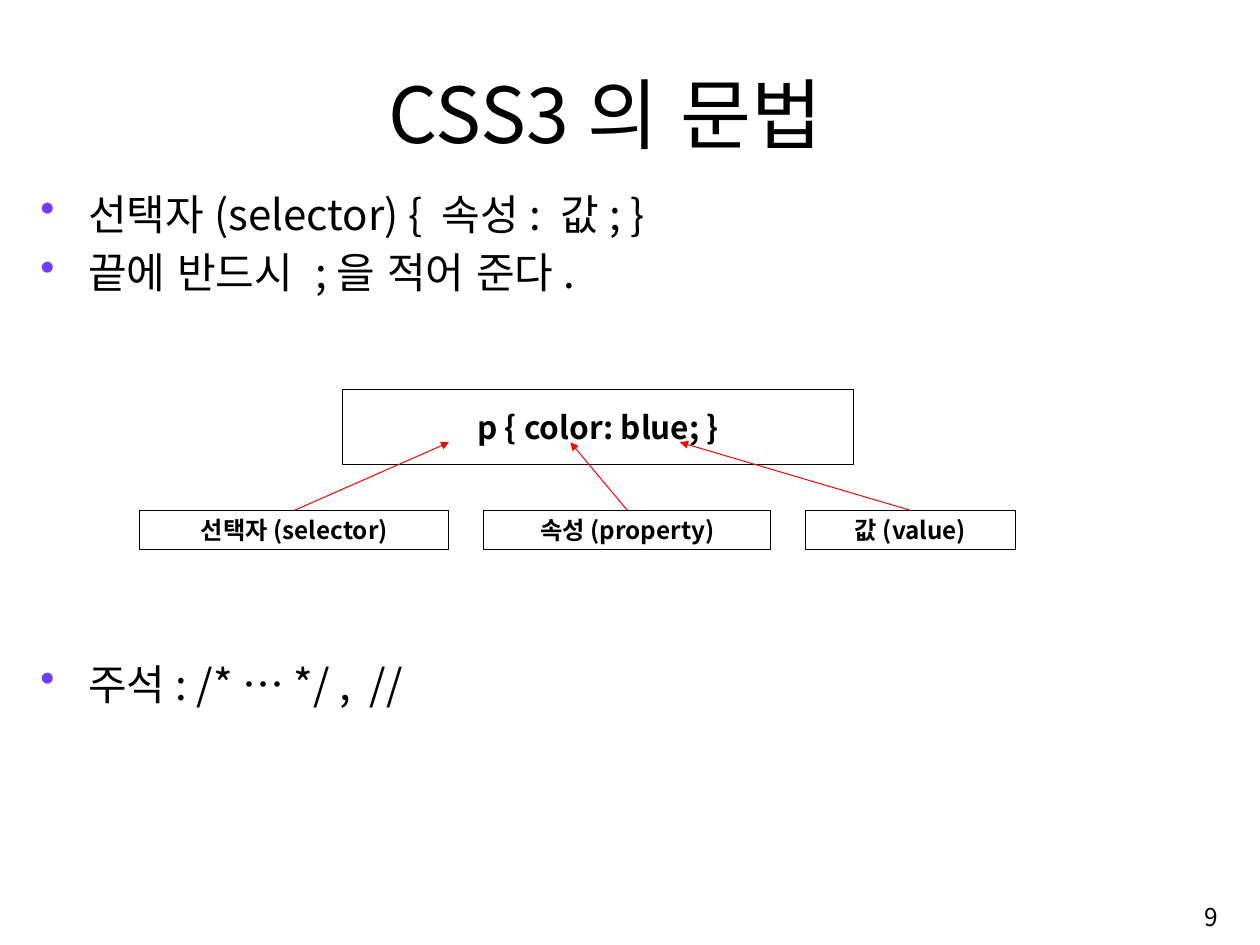
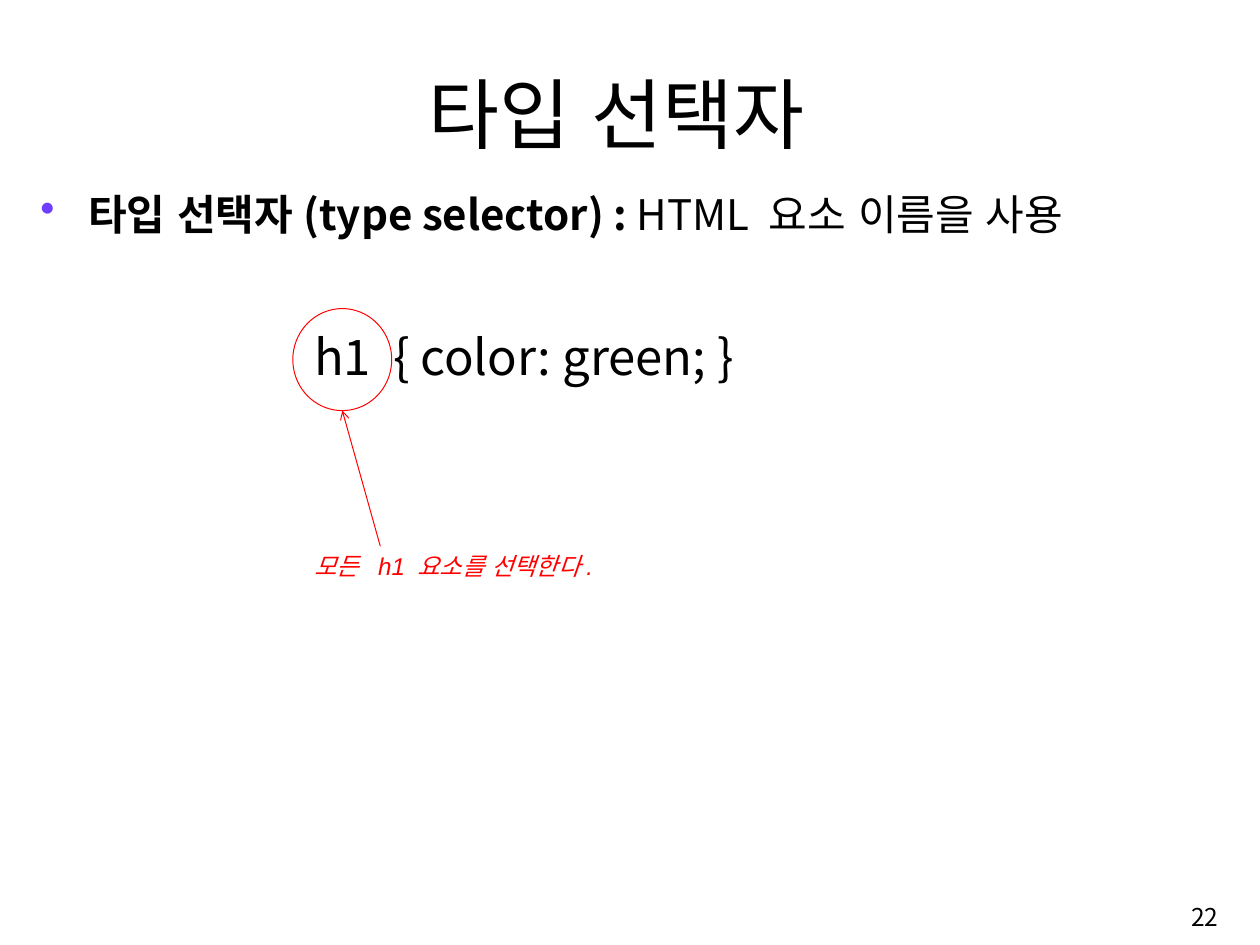
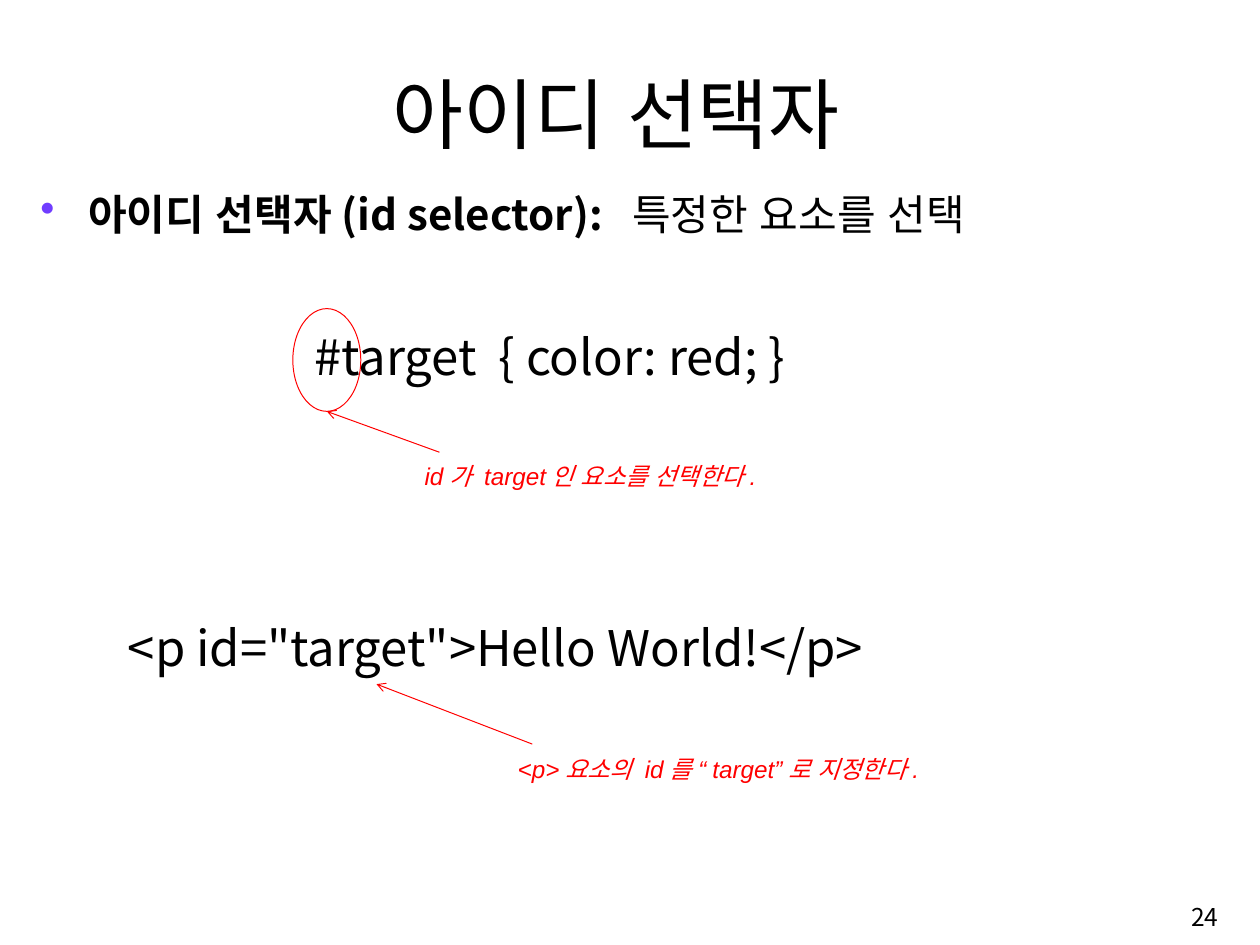
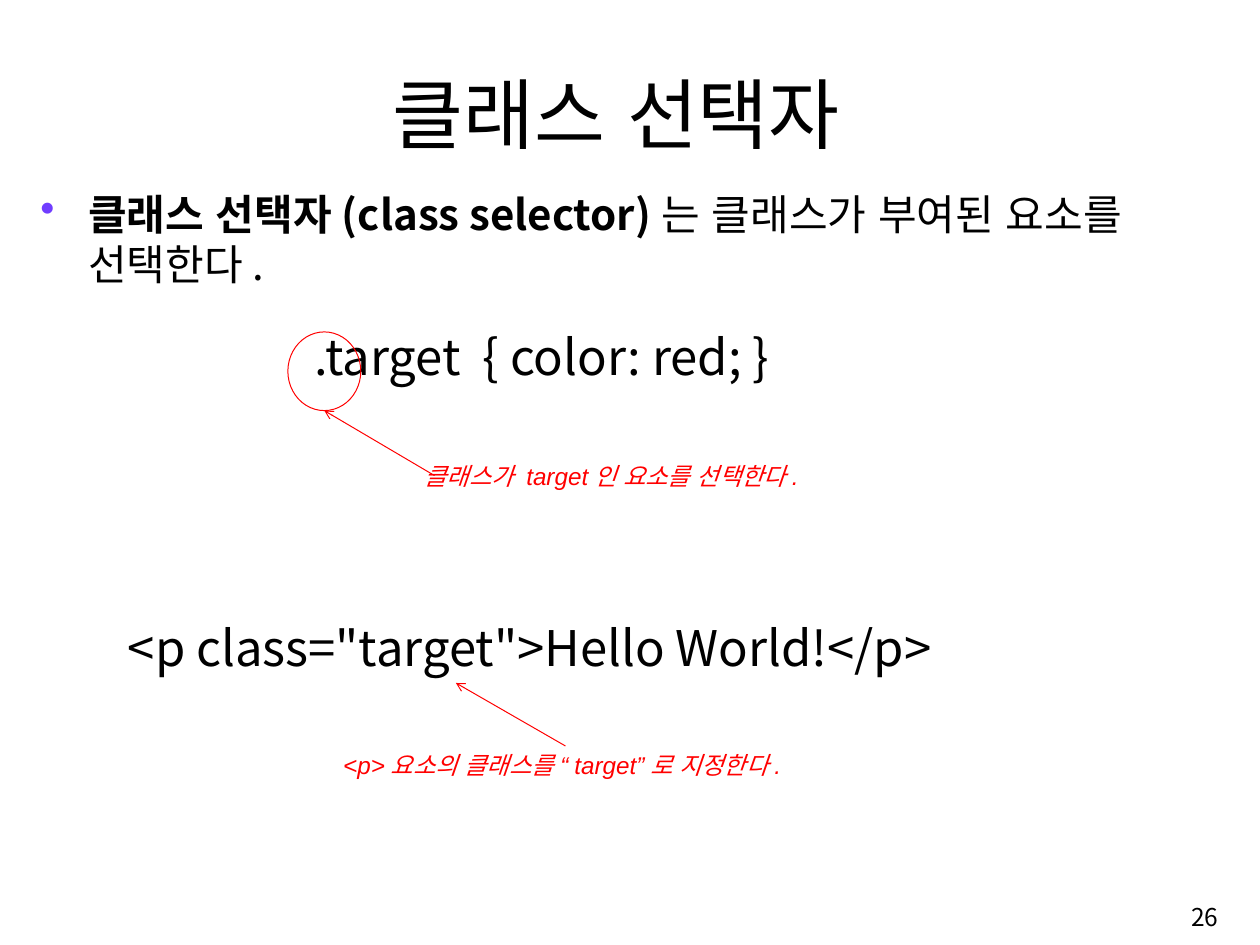
"""Build four slides on CSS3 syntax and the type, id and class selectors."""
from pptx import Presentation, util as u
from pptx.dml.color import RGBColor
from pptx.enum import lang, shapes, text
from pptx.oxml.ns import qn
from lxml import etree

SANS, ARIAL = "Noto Sans CJK KR", "Arial"
BLACK, RED, VIOLET = "000000", "FF0000", "703DFF"
CENTER, RIGHT = text.PP_ALIGN.CENTER, text.PP_ALIGN.RIGHT
TOP, MIDDLE, BOTTOM = (text.MSO_ANCHOR.TOP, text.MSO_ANCHOR.MIDDLE,
                       text.MSO_ANCHOR.BOTTOM)

TITLE_AT = (2.67, 1.55, 26.95, 2.74)
BODY_AT = (0.81, 4.8, 31.29, 17.93)
PAGE_AT = (25.35, 23.24, 6.81, 1.52)
CODE_HEIGHT, NOTE_HEIGHT = 1.8, 1.02
INDENT = 1.25
BULLET_GAP, WIDE_GAP = 6.2, 268

RULE = ("p { color: blue; }", (8.97, 10.19, 13.39, 1.98))
PARTS_LEFT, PARTS_TOP, PARTS_GAP, PART_HEIGHT = 3.66, 13.36, 0.91, 1.02
TIP_TOP = 11.58
PARTS = [("선택자(selector)", 8.1, 11.76),
         ("속성(property)", 7.52, 14.94),
         ("값(value)", 5.49, 17.81)]

# Bullets hold (bold text, plain text, space before); arrows hold start and end.
SLIDES = [
    {"title": "CSS3의 문법 ", "page": "9",
     "bullets": [("", "선택자(selector) { 속성: 값; }", BULLET_GAP),
                 ("", "끝에 반드시 ;을 적어 준다.", BULLET_GAP),
                 ("", "주석: /* … */ ,  //", WIDE_GAP)]},
    {"title": "타입 선택자", "page": "22",
     "bullets": [("타입 선택자(type selector) : ", "HTML 요소 이름을 사용", BULLET_GAP)],
     "codes": [("h1  { color: green; }", 7.98, 8.43, 14.17)],
     "ring": (7.67, 8.08, 2.59, 2.67), "ring_arrow": (9.96, 14.3),
     "notes": [("모든  h1 요소를 선택한다.", 7.98, 14.3, 8.08)]},
    {"title": "아이디 선택자", "page": "24",
     "bullets": [("아이디 선택자(id selector):  ", "특정한 요소를 선택", BULLET_GAP)],
     "codes": [("#target  { color: red; }", 7.98, 8.43, 16.1),
               ('<p id="target">Hello World!</p>', 3.1, 16.03, 20.68)],
     "ring": (7.67, 8.08, 1.78, 2.69), "ring_arrow": (11.51, 11.84),
     "notes": [("id가 target인 요소를 선택한다.", 10.87, 11.94, 9.14),
               ("<p>요소의 id를 “target”로 지정한다.", 13.31, 19.61, 10.69)],
     "arrows": [((13.94, 19.48), (9.86, 17.91))]},
    {"title": "클래스 선택자", "page": "26",
     "bullets": [("클래스 선택자(class selector)",
                  "는 클래스가 부여된 요소를 선택한다.", BULLET_GAP)],
     "codes": [(".target  { color: red; }", 7.98, 8.43, 16.1),
               ('<p class="target">Hello World!</p>', 3.1, 16.03, 22.61)],
     "ring": (7.54, 8.69, 1.91, 2.06), "ring_arrow": (11.38, 12.45),
     "notes": [("클래스가 target인 요소를 선택한다.", 10.87, 11.94, 10.57),
               ("<p>요소의 클래스를 “target”로 지정한다.", 8.74, 19.53, 12.12)],
     "arrows": [((14.81, 19.53), (11.94, 17.88))]},
]


def lengths(values):
    return [u.Cm(value) for value in values]


def color(hex_string):
    return RGBColor.from_string(hex_string)


def style_run(run, size, hex_string=BLACK, font=SANS, bold=False, italic=False):
    run.font.size, run.font.name = u.Pt(size), font
    run.font.bold, run.font.italic = bold, italic
    run.font.color.rgb = color(hex_string)
    run.font.language_id = lang.MSO_LANGUAGE_ID.KOREAN
    etree.SubElement(run.font._element, qn("a:ea")).set("typeface", font)


def write(shape, words, size, align=None, anchor=TOP, **style):
    frame = shape.text_frame
    frame.word_wrap, frame.vertical_anchor = True, anchor
    frame.text = words
    paragraph = frame.paragraphs[0]
    paragraph.alignment = align
    style_run(paragraph.runs[0], size, **style)


def add_text(slide, words, box, size, **style):
    write(slide.shapes.add_textbox(*lengths(box)), words, size, **style)


def add_outline(slide, kind, box, line_color):
    shape = slide.shapes.add_shape(kind, *lengths(box))
    shape.shadow.inherit = False
    shape.fill.background()
    shape.line.color.rgb, shape.line.width = color(line_color), u.Pt(0.75)
    return shape


def add_arrow(slide, start, end, head):
    arrow = slide.shapes.add_connector(shapes.MSO_CONNECTOR.STRAIGHT,
                                       *lengths(start + end))
    arrow.line.color.rgb, arrow.line.width = color(RED), u.Pt(0.75)
    etree.SubElement(arrow.line._get_or_add_ln(), qn("a:tailEnd")).set("type", head)
    etree.SubElement(arrow._element.spPr, qn("a:effectLst"))
    return arrow


def add_bullets(slide, bullets):
    frame = slide.shapes.add_textbox(*lengths(BODY_AT)).text_frame
    frame.word_wrap = True
    for index, (bold_words, plain_words, gap) in enumerate(bullets):
        paragraph = frame.add_paragraph() if index else frame.paragraphs[0]
        paragraph.space_before = u.Pt(gap)
        properties = paragraph._p.get_or_add_pPr()
        properties.set("marL", str(u.Cm(INDENT)))
        properties.set("indent", str(-u.Cm(INDENT)))
        bullet_color = etree.SubElement(properties, qn("a:buClr"))
        etree.SubElement(bullet_color, qn("a:srgbClr")).set("val", VIOLET)
        etree.SubElement(properties, qn("a:buChar")).set("char", "•")
        for words, bold in ((bold_words, True), (plain_words, False)):
            if words:
                run = paragraph.add_run()
                run.text = words
                style_run(run, 31.2, bold=bold)


def add_rule_diagram(slide):
    rectangle = shapes.MSO_SHAPE.RECTANGLE
    words, box = RULE
    write(add_outline(slide, rectangle, box, BLACK), words, 23.4,
          align=CENTER, anchor=MIDDLE, bold=True)
    left = PARTS_LEFT
    for words, width, tip in PARTS:
        part = add_outline(slide, rectangle, (left, PARTS_TOP, width, PART_HEIGHT), BLACK)
        write(part, words, 18, align=CENTER, anchor=MIDDLE, bold=True)
        arrow = add_arrow(slide, (left + width / 2, PARTS_TOP), (tip, TIP_TOP), "triangle")
        arrow.begin_connect(part, 0)
        left += width + PARTS_GAP


def add_selector_example(slide, content):
    for words, left, top, width in content["codes"]:
        add_text(slide, words, (left, top, width, CODE_HEIGHT), 36.4)
    left, top, width, height = content["ring"]
    add_outline(slide, shapes.MSO_SHAPE.OVAL, content["ring"], RED)
    for words, note_left, note_top, note_width in content["notes"]:
        add_text(slide, words, (note_left, note_top, note_width, NOTE_HEIGHT), 18,
                 hex_string=RED, font=ARIAL, italic=True)
    ring_arrow = (content["ring_arrow"], (left + width / 2, top + height))
    for start, end in [ring_arrow] + content.get("arrows", []):
        add_arrow(slide, start, end, "arrow")


def main():
    presentation = Presentation()
    presentation.slide_width, presentation.slide_height = lengths((33, 24.74))
    for content in SLIDES:
        slide = presentation.slides.add_slide(presentation.slide_layouts[6])
        add_text(slide, content["title"], TITLE_AT, 57.2, align=CENTER, anchor=BOTTOM)
        add_bullets(slide, content["bullets"])
        if "codes" in content:
            add_selector_example(slide, content)
        else:
            add_rule_diagram(slide)
        add_text(slide, content["page"], PAGE_AT, 18.2, align=RIGHT, anchor=MIDDLE)
    presentation.save("out.pptx")


if __name__ == "__main__":
    main()
